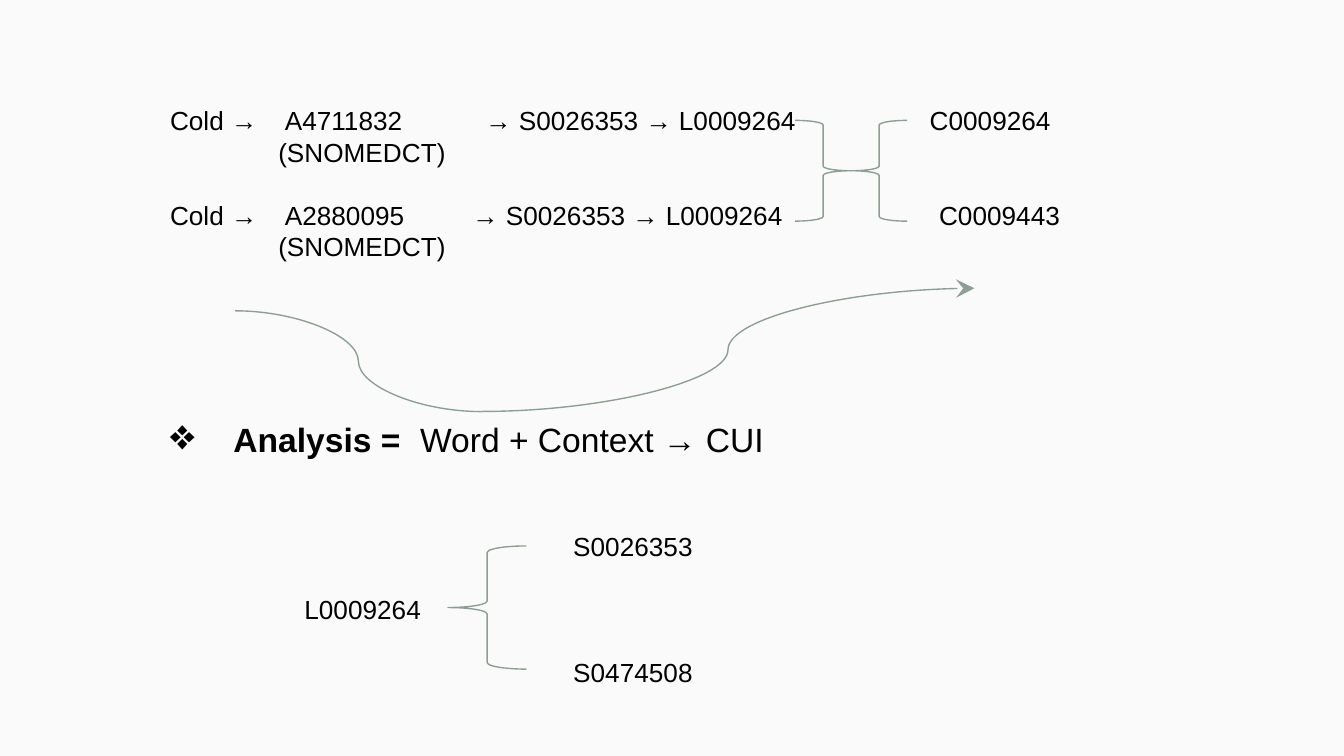
"""Build a slide tracing the word Cold through its identifiers to a CUI."""
from lxml.etree import SubElement
from pptx import Presentation
from pptx.dml.color import RGBColor
from pptx.enum.shapes import MSO_CONNECTOR, MSO_SHAPE
from pptx.oxml.ns import qn
from pptx.util import Pt

BACKGROUND = RGBColor(0xFA, 0xFA, 0xFA)
BLACK = RGBColor(0x00, 0x00, 0x00)
LINE = RGBColor(0x8E, 0x9E, 0x94)


def add_text(frame, runs, tabs=(), size=14, before=0, bullet=None, hanging=0):
    first = len(frame.paragraphs) == 1 and not frame.paragraphs[0].runs
    paragraph = frame.paragraphs[0] if first else frame.add_paragraph()
    paragraph.space_before = Pt(before)
    for text, bold in runs:
        run = paragraph.add_run()
        run.text = text
        run.font.name = "Arial"
        run.font.size = Pt(size)
        run.font.bold = bold
        run.font.color.rgb = BLACK
    properties = paragraph._p.get_or_add_pPr()
    if bullet:
        properties.set("marL", str(Pt(hanging)))
        properties.set("indent", str(Pt(-hanging)))
        color = SubElement(properties, qn("a:buClr"))
        SubElement(color, qn("a:srgbClr"), val=str(BLACK))
        SubElement(properties, qn("a:buSzPct"), val="129000")
        SubElement(properties, qn("a:buChar"), char=bullet)
    if tabs:
        tab_list = SubElement(properties, qn("a:tabLst"))
        for position in tabs:
            SubElement(tab_list, qn("a:tab"), pos=str(Pt(position)), algn="l")


presentation = Presentation()
presentation.slide_width = Pt(720)
presentation.slide_height = Pt(405)
slide = presentation.slides.add_slide(presentation.slide_layouts[6])
slide.background.fill.solid()
slide.background.fill.fore_color.rgb = BACKGROUND

text_box = slide.shapes.add_textbox(Pt(84), Pt(52.5), Pt(564), Pt(322.5))
frame = text_box.text_frame
frame.word_wrap = True

BLANK = 16.9
for atom, concept, tabs, before in (
    ("A4711832", "C0009264", (61.5, 169, 407), 0),
    ("A2880095", "C0009443", (61.5, 162, 412), BLANK),
):
    chain = f"Cold →\t{atom}\t→ S0026353 → L0009264\t{concept}"
    add_text(frame, [(chain, False)], tabs=tabs, before=before)
    add_text(frame, [("\t(SNOMEDCT)", False)], tabs=(58,))

add_text(
    frame,
    [("Analysis =", True), ("\tWord + Context → CUI", False)],
    tabs=(134,), size=18, before=5 * BLANK, bullet="❖", hanging=34,
)
for identifier, position, before in (
    ("S0026353", 216, 38),
    ("L0009264", 72, BLANK),
    ("S0474508", 216, BLANK),
):
    add_text(frame, [("\t" + identifier, False)], tabs=(position,), before=before)

for start, end, arrowhead in (
    ((126, 166.5), (258, 220.5), False),
    ((258, 220.5), (522, 154.5), True),
):
    curve = slide.shapes.add_connector(
        MSO_CONNECTOR.CURVE, *(Pt(value) for value in start + end)
    )
    curve.line.color.rgb = LINE
    curve.line.width = Pt(0.75)
    if arrowhead:
        SubElement(
            curve.line._get_or_add_ln(), qn("a:tailEnd"),
            type="stealth", w="lg", len="lg",
        )
    SubElement(curve._element.spPr, qn("a:effectLst"))

for kind, left, top, width, height in (
    (MSO_SHAPE.RIGHT_BRACE, 426, 64.5, 30, 54),
    (MSO_SHAPE.LEFT_BRACE, 456, 64.5, 30, 54),
    (MSO_SHAPE.LEFT_BRACE, 240, 292.5, 42, 66),
):
    brace = slide.shapes.add_shape(kind, Pt(left), Pt(top), Pt(width), Pt(height))
    brace.shadow.inherit = False
    brace.fill.background()
    brace.line.color.rgb = LINE
    brace.line.width = Pt(0.75)

presentation.save("out.pptx")
